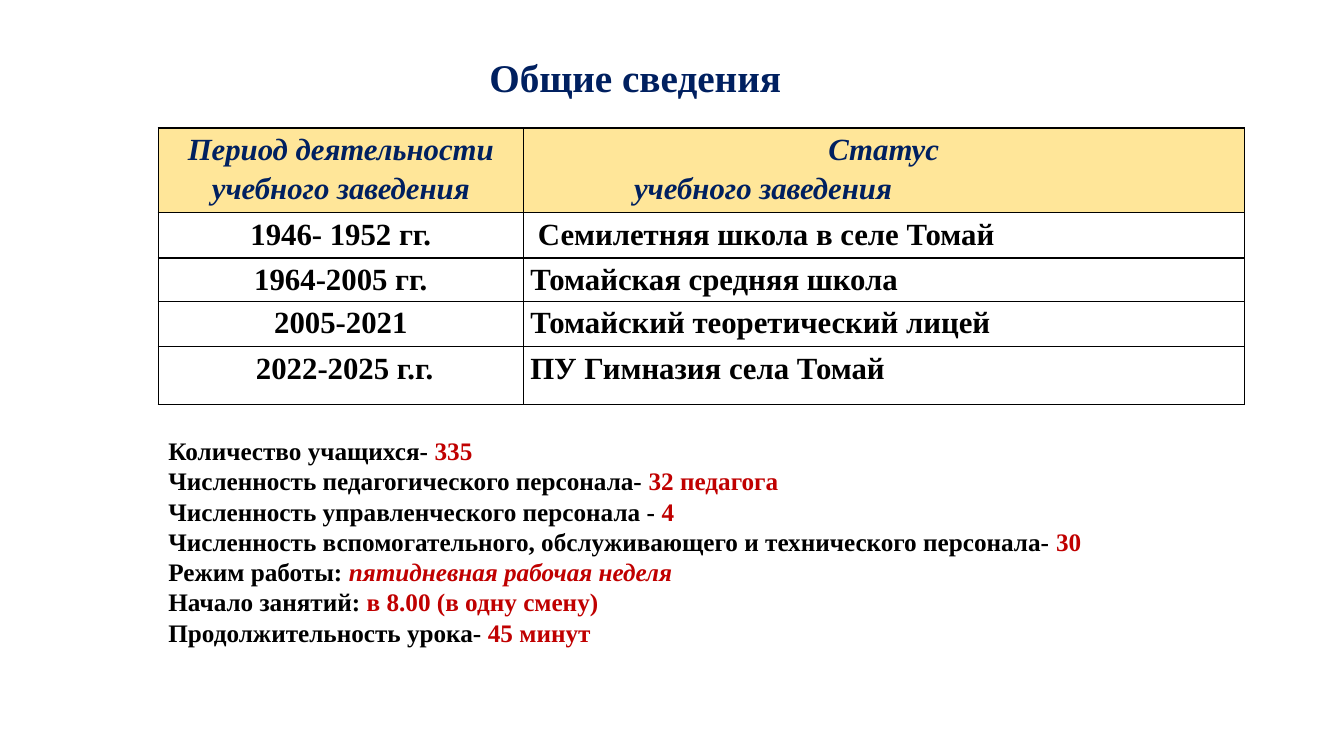
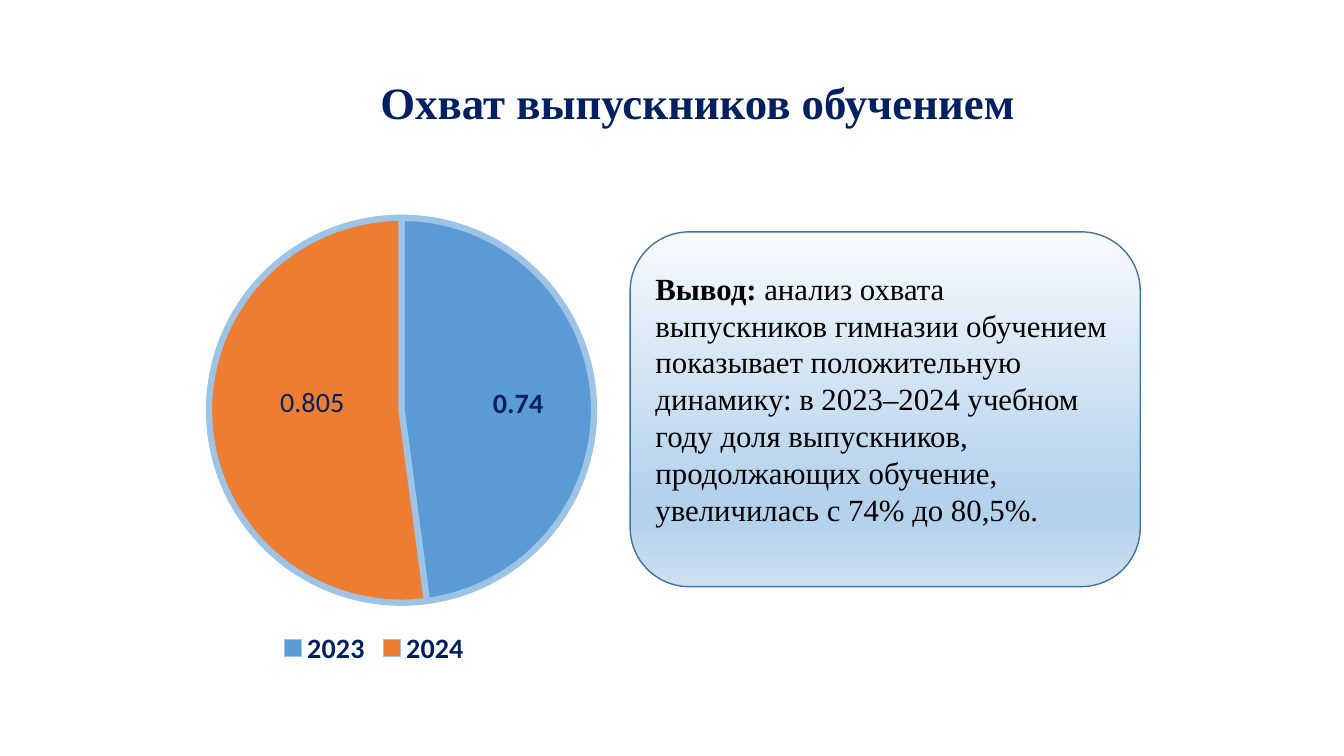
import pptx
import pptx.chart.data
import pptx.dml.color
import pptx.enum.chart
import pptx.enum.shapes
import pptx.enum.text
import pptx.oxml.ns
import pptx.util
from lxml import etree

Inches, Pt = pptx.util.Inches, pptx.util.Pt
RGBColor = pptx.dml.color.RGBColor
PP_ALIGN = pptx.enum.text.PP_ALIGN
qn = pptx.oxml.ns.qn

# Shared look
SERIF, SANS = "Times New Roman", "Calibri"
NAVY = RGBColor(0x00, 0x20, 0x60)
BLACK = RGBColor(0x00, 0x00, 0x00)
WHITE = RGBColor(0xFF, 0xFF, 0xFF)
RED = RGBColor(0xC0, 0x00, 0x00)
CREAM = RGBColor(0xFF, 0xE6, 0x99)
BLUE = RGBColor(0x5B, 0x9B, 0xD5)
ORANGE = RGBColor(0xED, 0x7D, 0x31)
SLICE_EDGE = RGBColor(0x9D, 0xC3, 0xE6)
CARD_EDGE = RGBColor(0x43, 0x73, 0x9E)
CARD_STOPS = [(0, "F7FAFD"), (74, "B5D2EC"), (83, "B5D2EC"), (100, "CEE1F2")]

# Content
PERIODS = [
    ("1946- 1952 гг.", " Семилетняя школа в селе Томай"),
    ("1964-2005 гг.", "Томайская средняя школа"),
    ("2005-2021", "Томайский теоретический лицей"),
    (" 2022-2025 г.г.", "ПУ Гимназия села Томай"),
]
FACTS = [
    ("Количество учащихся- ", "335", False),
    ("Численность педагогического персонала- ", "32 педагога", False),
    ("Численность управленческого персонала - ", "4", False),
    ("Численность вспомогательного, обслуживающего и технического персонала- ", "30", False),
    ("Режим работы: ", "пятидневная рабочая неделя", True),
    ("Начало занятий: ", "в 8.00 (в одну смену)", False),
    ("Продолжительность урока- ", "45 минут", False),
]
# year, share, slice colour, bold label, label shift as a part of the chart
SHARES = [
    ("2023", 0.74, BLUE, True, (0.03, 0)),
    ("2024", 0.805, ORANGE, False, (0.01, -0.03)),
]


def style_font(font, size, color, name=SERIF, bold=True, italic=False):
    values = {"size": Pt(size), "name": name, "bold": bold, "italic": italic}
    for attribute, value in values.items():
        setattr(font, attribute, value)
    font.color.rgb = color


def add_run(paragraph, text, size, color, **style):
    run = paragraph.add_run()
    run.text = text
    style_font(run.font, size, color, **style)


def place(shape, box):
    for attribute, value in zip(("left", "top", "width", "height"), box):
        setattr(shape, attribute, Inches(value))


def add_manual_layout(parent, position, **values):
    """Insert a c:layout with the given children at a position in parent."""
    for old in parent.findall(qn("c:layout")):
        parent.remove(old)
    layout = etree.Element(qn("c:layout"))
    manual = etree.SubElement(layout, qn("c:manualLayout"))
    for tag, value in values.items():
        etree.SubElement(manual, qn("c:" + tag)).set("val", str(value))
    parent.insert(position, layout)


def add_title(slide, text, size, box):
    title = slide.shapes.title
    place(title, box)
    frame = title.text_frame
    frame.auto_size = pptx.enum.text.MSO_AUTO_SIZE.NONE
    frame.word_wrap = False
    frame.vertical_anchor = pptx.enum.text.MSO_ANCHOR.TOP
    frame.paragraphs[0].alignment = PP_ALIGN.CENTER
    add_run(frame.paragraphs[0], text, size, NAVY)


def add_cell_borders(cell):
    properties = cell._tc.get_or_add_tcPr()
    for side in ("lnL", "lnR", "lnT", "lnB"):
        line = etree.SubElement(properties, qn("a:" + side), w=str(Pt(1)))
        fill = etree.SubElement(line, qn("a:solidFill"))
        etree.SubElement(fill, qn("a:srgbClr"), val=str(BLACK))


def fill_cell(cell, lines, alignment, fill, color, italic=False):
    add_cell_borders(cell)
    cell.fill.solid()
    cell.fill.fore_color.rgb = fill
    cell.margin_left = cell.margin_right = Inches(0.07)
    cell.margin_top = cell.margin_bottom = 0
    for index, text in enumerate(lines):
        frame = cell.text_frame
        paragraph = frame.add_paragraph() if index else frame.paragraphs[0]
        paragraph.alignment = alignment
        paragraph.line_spacing = 1.15
        add_run(paragraph, text, 22, color, italic=italic)


def add_periods_table(slide, box):
    row_heights = [0.84, 0.45, 0.43, 0.45, 0.57]
    table = slide.shapes.add_table(
        len(row_heights), 2, *(Inches(v) for v in box)).table
    table.first_row = table.horz_banding = False
    for column, width in zip(table.columns, (3.62, box[2] - 3.62)):
        column.width = Inches(width)
    for row, height in zip(table.rows, row_heights):
        row.height = Inches(height)

    # Header; the second status line starts at its own indent
    headings = (["Период деятельности учебного заведения"],
                ["Статус", "учебного заведения"])
    for column, lines in enumerate(headings):
        fill_cell(table.cell(0, column), lines, PP_ALIGN.CENTER, CREAM, NAVY, italic=True)
    status_line = table.cell(0, 1).text_frame.paragraphs[1]
    status_line.alignment = PP_ALIGN.LEFT
    status_line._p.get_or_add_pPr().set("marL", str(Inches(1.03)))

    for row, texts in enumerate(PERIODS, start=1):
        for column, alignment in enumerate((PP_ALIGN.CENTER, PP_ALIGN.LEFT)):
            fill_cell(table.cell(row, column), [texts[column]], alignment, WHITE, BLACK)


def add_facts(slide, box):
    facts = slide.placeholders[1]
    place(facts, box)
    frame = facts.text_frame
    frame.auto_size = pptx.enum.text.MSO_AUTO_SIZE.NONE
    for index, (label, value, italic) in enumerate(FACTS):
        paragraph = frame.add_paragraph() if index else frame.paragraphs[0]
        properties = paragraph._p.get_or_add_pPr()
        properties.set("marL", "0")
        properties.set("indent", "0")
        etree.SubElement(properties, qn("a:buNone"))
        paragraph.space_before = Pt(0)
        add_run(paragraph, label, 18, BLACK)
        add_run(paragraph, value, 18, RED, italic=italic)


def add_conclusion(slide, box):
    card = slide.shapes.add_shape(
        pptx.enum.shapes.MSO_SHAPE.ROUNDED_RECTANGLE, *(Inches(v) for v in box))
    card.shadow.inherit = False
    card.line.color.rgb = CARD_EDGE
    card.line.width = Pt(1)

    # Vertical gradient with four stops
    card.fill.gradient()
    card.fill.gradient_angle = 270
    stops = card._element.spPr.find(qn("a:gradFill")).find(qn("a:gsLst"))
    for stop in list(stops):
        stops.remove(stop)
    for percent, color in CARD_STOPS:
        stop = etree.SubElement(stops, qn("a:gs"), pos=str(percent * 1000))
        etree.SubElement(stop, qn("a:srgbClr"), val=color)

    frame = card.text_frame
    frame.word_wrap = True
    frame.vertical_anchor = pptx.enum.text.MSO_ANCHOR.TOP
    frame.margin_left = frame.margin_right = Inches(0.08)
    frame.margin_top = Inches(0.2)
    paragraph = frame.paragraphs[0]
    paragraph.alignment = PP_ALIGN.LEFT
    add_run(paragraph, "Вывод: ", 22, BLACK)
    add_run(paragraph, "анализ охвата выпускников гимназии обучением показывает "
            "положительную динамику: в 2023–2024 учебном году доля выпускников, "
            "продолжающих обучение, увеличилась с 74% до 80,5%.", 22, BLACK, bold=False)


def add_shares_pie(slide, box):
    data = pptx.chart.data.CategoryChartData()
    data.categories = [share[0] for share in SHARES]
    data.add_series("Series 1", [share[1] for share in SHARES])
    chart = slide.shapes.add_chart(
        pptx.enum.chart.XL_CHART_TYPE.PIE, *(Inches(v) for v in box), data).chart
    style_font(chart.font, 10, BLACK, name=SANS, bold=False)
    chart.has_title = False
    chart.has_legend = True
    chart.legend.position = pptx.enum.chart.XL_LEGEND_POSITION.BOTTOM
    chart.legend.include_in_layout = False
    style_font(chart.legend.font, 20, NAVY, name=SANS)

    # Slices and their labels
    plot = chart.plots[0]
    plot.vary_by_categories = True
    series = plot.series[0]
    series.format.line.color.rgb = SLICE_EDGE
    series.format.line.width = Pt(4.5)
    for index, (_, _, color, bold, _) in enumerate(SHARES):
        point = series.points[index]
        point.format.fill.solid()
        point.format.fill.fore_color.rgb = color
        point.format.line.color.rgb = SLICE_EDGE
        point.format.line.width = Pt(4.5)
        label = point.data_label
        style_font(label.font, 20, NAVY, name=SANS, bold=bold)
        label.position = pptx.enum.chart.XL_LABEL_POSITION.CENTER
    for label, share in zip(chart.element.iter(qn("c:dLbl")), SHARES):
        add_manual_layout(label, 1, x=share[4][0], y=share[4][1])

    plot_area = next(chart.element.iter(qn("c:plotArea")))
    add_manual_layout(plot_area, 0, layoutTarget="inner", xMode="edge", yMode="edge",
                      x=0.26, y=0.03, w=0.56, h=0.87)


def build_general_slide(deck):
    slide = deck.slides.add_slide(deck.slide_layouts[1])
    add_title(slide, "Общие сведения", 28, (4.74, 0.48, 3.12, 0.57))
    add_periods_table(slide, (1.57, 1.27, 10.77, 2.74))
    add_facts(slide, (1.57, 4.27, 10.77, 2.22))


def build_graduates_slide(deck):
    slide = deck.slides.add_slide(deck.slide_layouts[5])
    add_title(slide, "Охват выпускников обучением", 32, (3.64, 0.69, 6.56, 0.64))
    add_conclusion(slide, (6.25, 2.3, 5.06, 3.52))
    add_shares_pie(slide, (0.3, 1.82, 6.82, 4.84))


def main():
    deck = pptx.Presentation()
    deck.slide_width, deck.slide_height = Inches(13.33), Inches(7.5)
    build_general_slide(deck)
    build_graduates_slide(deck)
    deck.save("out.pptx")


if __name__ == "__main__":
    main()
